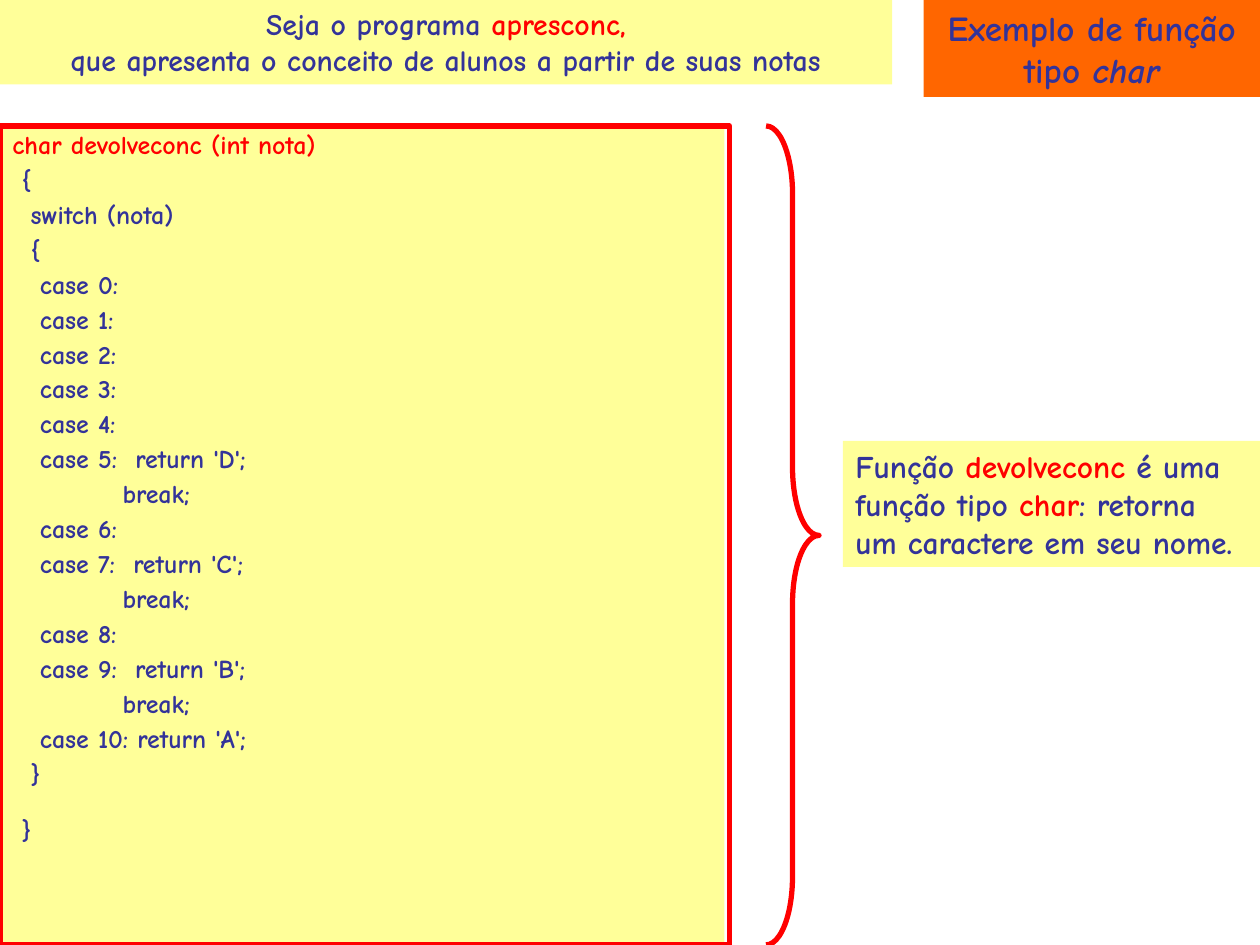
from pptx import Presentation
from pptx.dml.color import RGBColor
from pptx.enum import shapes, text
from pptx.util import Inches, Pt

COLORS = {"yellow": "FFFF99", "orange": "FF6600", "red": "FF0000", "blue": "333399"}
FONT = "Comic Neue"
CODE = """char devolveconc (int nota)
 {
  switch (nota)
  {
   case 0:
   case 1:
   case 2:
   case 3:
   case 4:
   case 5:  return 'D';
            break;
   case 6:
   case 7:  return 'C';
            break;
   case 8:
   case 9:  return 'B';
            break;
   case 10: return 'A';
  }
 }"""


def color(name):
    return RGBColor.from_string(COLORS[name])


def add_outline(slide, kind, box):
    shape = slide.shapes.add_shape(kind, *map(Inches, box))
    shape.shadow.inherit = False
    shape.fill.background()
    shape.line.color.rgb = color("red")
    shape.line.width = Pt(3)
    return shape


def add_panel(slide, box, fill):
    shape = slide.shapes.add_shape(shapes.MSO_SHAPE.RECTANGLE, *map(Inches, box))
    shape.shadow.inherit = False
    shape.fill.solid()
    shape.fill.fore_color.rgb = color(fill)
    shape.line.fill.background()
    frame = shape.text_frame
    frame.word_wrap = True
    frame.vertical_anchor = text.MSO_ANCHOR.TOP
    return frame


def write_paragraphs(frame, paragraphs, size, align):
    for index, runs in enumerate(paragraphs):
        paragraph = frame.paragraphs[0] if index == 0 else frame.add_paragraph()
        paragraph.alignment = align
        for words, ink, italic in runs:
            run = paragraph.add_run()
            run.text = words
            run.font.name = FONT
            run.font.size = Pt(size)
            run.font.bold = True
            run.font.italic = italic
            run.font.color.rgb = color(ink)


def add_heading(slide, box):
    frame = add_panel(slide, box, "yellow")
    write_paragraphs(frame, [
        [("Seja o programa ", "blue", False), ("apresconc,", "red", False)],
        [("que apresenta o conceito de alunos a partir de suas notas", "blue", False)],
    ], 17, text.PP_ALIGN.CENTER)


def add_topic(slide, box):
    frame = add_panel(slide, box, "orange")
    write_paragraphs(frame, [
        [("Exemplo de função tipo ", "blue", False), ("char", "blue", True)],
    ], 20, text.PP_ALIGN.CENTER)


def add_code(slide, box):
    left, top, width, height = box
    frame = add_panel(slide, (left, top, width - 0.04, height), "yellow")
    lines = [[(line, "blue" if index else "red", False)]
             for index, line in enumerate(CODE.split("\n"))]
    write_paragraphs(frame, lines, 14.8, text.PP_ALIGN.LEFT)
    for paragraph in frame.paragraphs:
        paragraph.line_spacing = 0.9
    for paragraph in frame.paragraphs[1:]:
        paragraph.space_before = Pt(4)
    frame.paragraphs[-1].space_before = Pt(16.5)
    add_outline(slide, shapes.MSO_SHAPE.RECTANGLE, box)


def add_explanation(slide, box):
    frame = add_panel(slide, box, "yellow")
    write_paragraphs(frame, [[
        ("Função ", "blue", False),
        ("devolveconc ", "red", False),
        ("é uma função tipo ", "blue", False),
        ("char", "red", False),
        (": retorna um caractere em seu nome.", "blue", False),
    ]], 18, text.PP_ALIGN.LEFT)


def add_brace(slide, box):
    brace = add_outline(slide, shapes.MSO_SHAPE.RIGHT_BRACE, box)
    brace.adjustments[0] = 1.29
    brace.adjustments[1] = 0.5


def main():
    presentation = Presentation()
    presentation.slide_width = Inches(10)
    presentation.slide_height = Inches(7.5)
    slide = presentation.slides.add_slide(presentation.slide_layouts[6])
    add_heading(slide, (0, 0, 7.08, 0.67))
    add_code(slide, (0, 1, 5.79, 6.5))
    add_explanation(slide, (6.69, 3.5, 3.31, 1))
    add_topic(slide, (7.33, 0, 2.67, 0.77))
    add_brace(slide, (6.08, 1, 0.42, 6.5))
    presentation.save("out.pptx")


if __name__ == "__main__":
    main()
